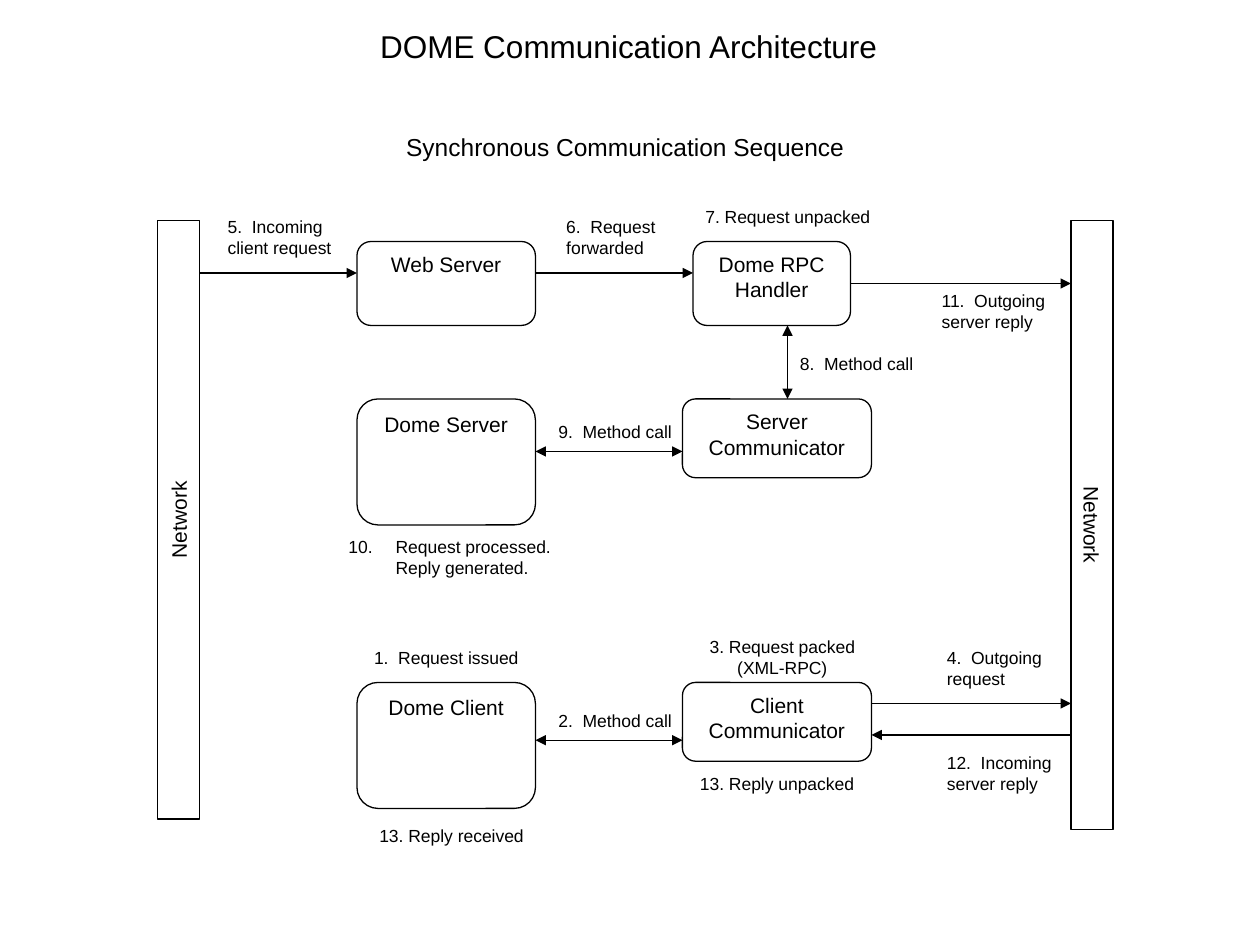
import dataclasses

import pptx
import pptx.dml.color
import pptx.enum.shapes
import pptx.enum.text
import pptx.oxml.ns
import pptx.util
from lxml import etree

PX = 9525
FONT = "Arial"
COLORS = {"ink": "000000", "paper": "FFFFFF"}
SHAPES = pptx.enum.shapes.MSO_SHAPE
ALIGN = pptx.enum.text.PP_ALIGN
ANCHOR = pptx.enum.text.MSO_ANCHOR


@dataclasses.dataclass
class Box:
    left: int
    top: int
    width: int
    height: int

    def inner(self, left, top, width, height):
        return Box(self.left + left, self.top + top, width, height)

    def emu(self):
        return [value * PX for value in (self.left, self.top, self.width, self.height)]


def color(name):
    return pptx.dml.color.RGBColor.from_string(COLORS[name])


def child(parent, tag, **attributes):
    return etree.SubElement(parent, pptx.oxml.ns.qn(tag), **attributes)


def write(shape, text, size=10, align=ALIGN.LEFT, anchor=ANCHOR.TOP, wrap=True):
    frame = shape.text_frame
    frame.auto_size = pptx.enum.text.MSO_AUTO_SIZE.NONE
    frame.word_wrap = wrap
    frame.vertical_anchor = anchor
    for index, line in enumerate(text.split("\n")):
        para = frame.add_paragraph() if index else frame.paragraphs[0]
        para.alignment = align
        span = para.add_run()
        span.text = line
        span.font.name = FONT
        span.font.size = pptx.util.Pt(size)
        span.font.color.rgb = color("ink")
    return frame


def add_label(page, box, text, **style):
    shape = page.shapes.add_textbox(*box.emu())
    return write(shape, text, **style)


def add_outline(page, kind, box):
    shape = page.shapes.add_shape(kind, *box.emu())
    shape.shadow.inherit = False
    shape.line.color.rgb = color("ink")
    shape.line.width = pptx.util.Pt(0.75)
    shape.fill.solid()
    shape.fill.fore_color.rgb = color("paper")
    return shape


def add_component(page, box, text):
    shape = add_outline(page, SHAPES.ROUNDED_RECTANGLE, box)
    write(shape, text, size=12, align=ALIGN.CENTER)


def add_arrow(page, box, start_x, start_y, end_x, end_y, both=False):
    line = page.shapes.add_connector(
        pptx.enum.shapes.MSO_CONNECTOR.STRAIGHT,
        (box.left + start_x) * PX, (box.top + start_y) * PX,
        (box.left + end_x) * PX, (box.top + end_y) * PX)
    line.line.color.rgb = color("ink")
    line.line.width = pptx.util.Pt(0.75)
    outline = line.line._get_or_add_ln()
    if both:
        child(outline, "a:headEnd", type="triangle")
    child(outline, "a:tailEnd", type="triangle")
    child(line._element.spPr, "a:effectLst")


def add_headings(page, box):
    title = page.shapes.title
    title.left, title.top, title.width, title.height = box.inner(0, 0, 400, 38).emu()
    write(title, "DOME Communication Architecture", size=18, wrap=False)
    add_label(page, box.inner(20, 80, 353, 33), "Synchronous Communication Sequence",
              size=14, wrap=False)


def add_network(page, box, rotation):
    turned = box.inner((box.width - box.height) // 2, (box.height - box.width) // 2,
                       box.height, box.width)
    shape = add_outline(page, SHAPES.RECTANGLE, turned)
    shape.rotation = rotation
    write(shape, "Network", size=12, align=ALIGN.CENTER, anchor=ANCHOR.MIDDLE, wrap=False)


def add_numbered_note(page, box, text, number):
    frame = add_label(page, box, text)
    indent = 36 * PX
    for index, para in enumerate(frame.paragraphs):
        properties = para._p.get_or_add_pPr()
        properties.set("marL", str(indent))
        properties.set("indent", str(0 if index else -indent))
        if index == 0:
            child(properties, "a:buFont", typeface=FONT)
            child(properties, "a:buAutoNum", type="arabicPeriod", startAt=str(number))


def add_server_side(page, box):
    components = [
        ("Web Server", 120, 32, 136, 64),
        ("Dome RPC Handler", 376, 32, 120, 64),
        ("Dome Server", 120, 152, 136, 96),
        ("Server Communicator", 368, 152, 144, 60),
    ]
    labels = [
        ("5.  Incoming client request", 12, 8, 108, 48),
        ("6.  Request forwarded", 270, 8, 108, 48),
        ("7. Request unpacked", 376, 0, 152, 24),
        ("8.  Method call", 448, 112, 108, 24),
        ("9.  Method call", 264, 164, 112, 36),
        ("11.  Outgoing server reply", 556, 64, 108, 48),
    ]
    for text, *place in components:
        add_component(page, box.inner(*place), text)
    for text, *place in labels:
        add_label(page, box.inner(*place), text)
    add_numbered_note(page, box.inner(104, 252, 176, 36),
                      "Request processed.\nReply generated.", 10)
    add_arrow(page, box, 0, 56, 120, 56)
    add_arrow(page, box, 256, 56, 376, 56)
    add_arrow(page, box, 496, 64, box.width, 64)
    add_arrow(page, box, 448, 96, 448, 152, both=True)
    add_arrow(page, box, 368, 192, 256, 192, both=True)


def add_client_side(page, box):
    components = [
        ("Dome Client", 120, 40, 136, 96),
        ("Client\nCommunicator", 368, 40, 144, 60),
    ]
    labels = [
        ("1.  Request issued", ALIGN.CENTER, 120, 8, 136, 36),
        ("2.  Method call", ALIGN.LEFT, 264, 56, 112, 36),
        ("3. Request packed (XML-RPC)", ALIGN.CENTER, 376, 0, 136, 32),
        ("4.  Outgoing request", ALIGN.LEFT, 560, 8, 108, 48),
        ("12.  Incoming server reply", ALIGN.LEFT, 560, 88, 108, 48),
        ("13. Reply unpacked", ALIGN.CENTER, 368, 104, 144, 32),
        ("13. Reply received", ALIGN.CENTER, 120, 144, 144, 32),
    ]
    for text, *place in components:
        add_component(page, box.inner(*place), text)
    for text, align, *place in labels:
        add_label(page, box.inner(*place), text, align=align)
    add_arrow(page, box, 512, 56, box.width, 56)
    add_arrow(page, box, box.width, 80, 512, 80)
    add_arrow(page, box, 368, 84, 256, 84, both=True)


def main():
    deck = pptx.Presentation()
    deck.slide_width = 960 * PX
    deck.slide_height = 720 * PX
    page = deck.slides.add_slide(deck.slide_layouts.get_by_name("Title Only"))
    add_headings(page, Box(280, 16, 400, 113))
    add_network(page, Box(120, 168, 32, 456), 270)
    add_network(page, Box(816, 168, 32, 464), 90)
    add_server_side(page, Box(152, 152, 664, 288))
    add_client_side(page, Box(152, 480, 664, 176))
    deck.save("out.pptx")


if __name__ == "__main__":
    main()
